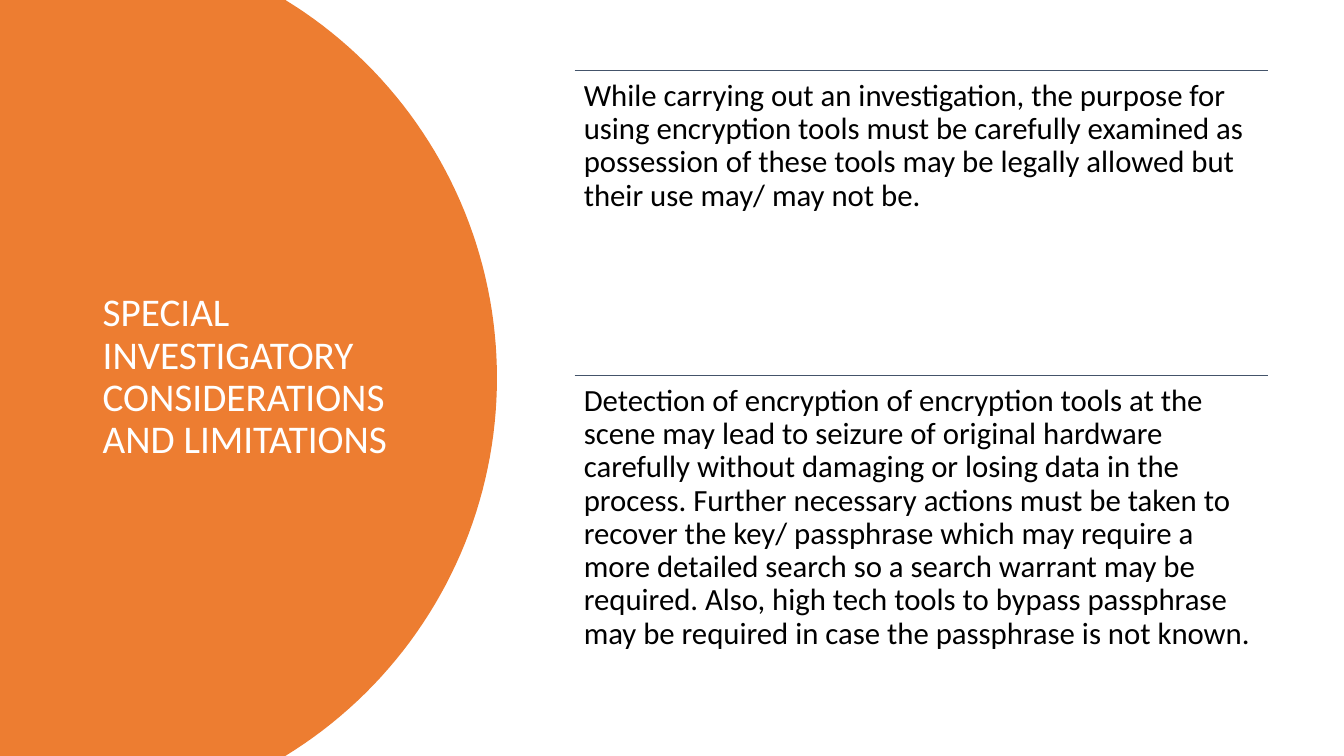
import math
from lxml import etree
from pptx import Presentation
from pptx.dml.color import RGBColor
from pptx.enum import shapes, text
from pptx.oxml import ns
from pptx.util import Pt

TITLE = "SPECIAL INVESTIGATORY CONSIDERATIONS AND LIMITATIONS"
POINTS = [
    "While carrying out an investigation, the purpose for using encryption "
    "tools must be carefully examined as possession of these tools may be "
    "legally allowed but their use may/ may not be.",
    "Detection of encryption of encryption tools at the scene may lead to "
    "seizure of original hardware carefully without damaging or losing data "
    "in the process. Further necessary actions must be taken to recover the "
    "key/ passphrase which may require a more detailed search so a search "
    "warrant may be required. Also, high tech tools to bypass passphrase may "
    "be required in case the passphrase is not known.",
]
ORANGE = RGBColor(0xED, 0x7D, 0x31)
SLATE = RGBColor(0x44, 0x54, 0x6A)
WHITE = RGBColor(0xFF, 0xFF, 0xFF)
BLACK = RGBColor(0, 0, 0)

WIDTH, HEIGHT = 960, 540
HUB, RADIUS = 38.3, 316.7  # centre x and radius of the orange disc
STEPS = 80
LEFT, TOP, WIDE, TALL = 410.4, 50.4, 495.4, 217.8


def fill_text(box, words, size, color, anchor):
    frame = box.text_frame
    frame.word_wrap = True
    frame.auto_size = text.MSO_AUTO_SIZE.NONE
    frame.vertical_anchor = anchor
    frame.text = words
    para = frame.paragraphs[0]
    para.alignment = text.PP_ALIGN.LEFT
    para.line_spacing = 0.9
    para.font.name = "Calibri"
    para.font.size = Pt(size)
    para.font.color.rgb = color


def add_disc(slide):
    """Draw the part of the disc that lies on the slide, flat on the left."""
    mid = HEIGHT / 2
    sweep = math.asin(mid / RADIUS)
    angles = [sweep * (2 * i / STEPS - 1) for i in range(STEPS + 1)]
    arc = [(Pt(HUB + RADIUS * math.cos(a)), Pt(mid + RADIUS * math.sin(a)))
           for a in angles]
    path = slide.shapes.build_freeform(0, 0)
    path.add_line_segments(arc + [(0, Pt(HEIGHT))], close=True)
    disc = path.convert_to_shape()
    disc.shadow.inherit = False
    disc.fill.solid()
    disc.fill.fore_color.rgb = ORANGE
    disc.line.fill.background()
    return disc


def add_rule(slide, top):
    rule = slide.shapes.add_connector(
        shapes.MSO_CONNECTOR.STRAIGHT,
        Pt(LEFT), Pt(top), Pt(LEFT + WIDE), Pt(top))
    rule.line.color.rgb = SLATE
    rule.line.width = Pt(1)
    etree.SubElement(rule.element.spPr, ns.qn("a:effectLst"))


def main():
    deck = Presentation()
    deck.slide_width, deck.slide_height = Pt(WIDTH), Pt(HEIGHT)
    slide = deck.slides.add_slide(deck.slide_layouts.get_by_name("Title Only"))

    title = slide.shapes.title
    title.left, title.top = Pt(66.2), Pt(TOP)
    title.width, title.height = Pt(232.6), Pt(438.5)
    fill_text(title, TITLE, 28, WHITE, text.MSO_ANCHOR.MIDDLE)
    title.element.addprevious(add_disc(slide).element)

    for row, words in enumerate(POINTS):
        top = TOP + row * TALL
        add_rule(slide, top)
        box = slide.shapes.add_textbox(Pt(LEFT), Pt(top), Pt(WIDE), Pt(TALL))
        fill_text(box, words, 22, BLACK, text.MSO_ANCHOR.TOP)
        frame = box.text_frame
        frame.margin_left = frame.margin_right = Pt(6.6)
        frame.margin_top = frame.margin_bottom = Pt(6.6)

    deck.save("out.pptx")


if __name__ == "__main__":
    main()
